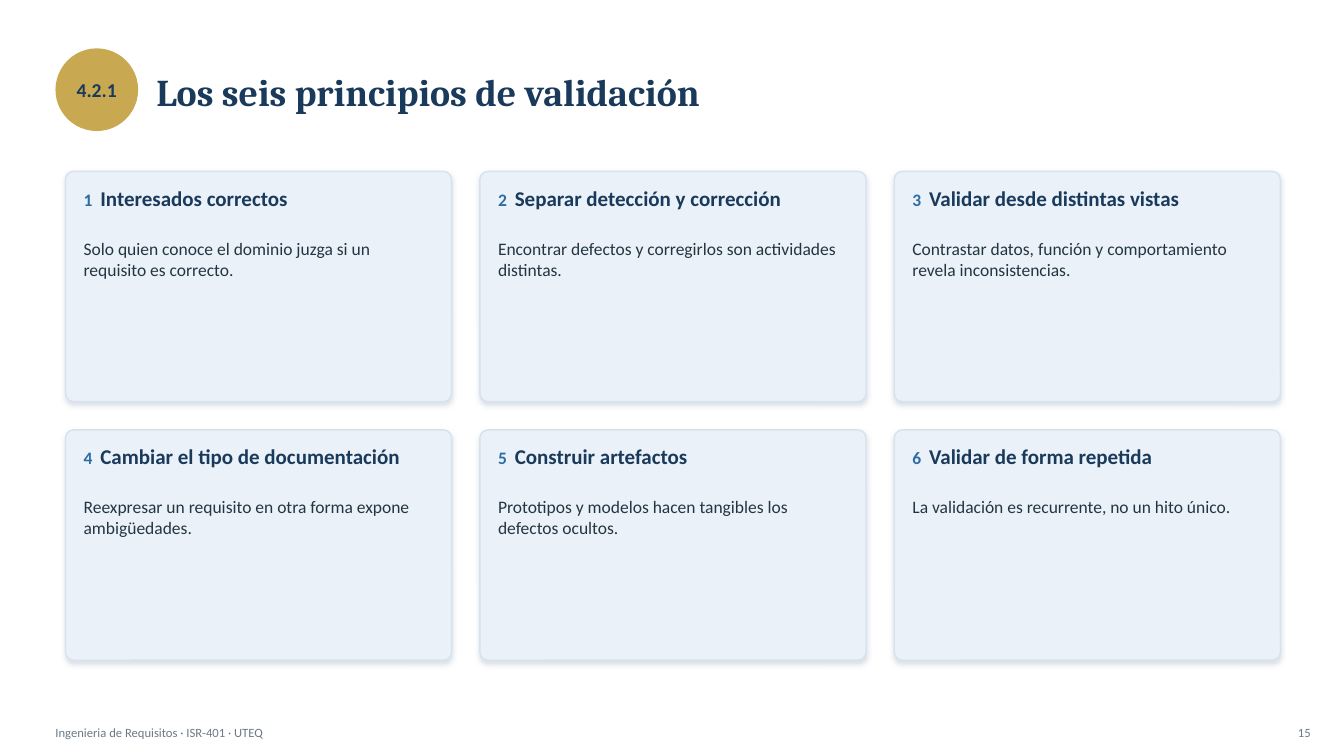
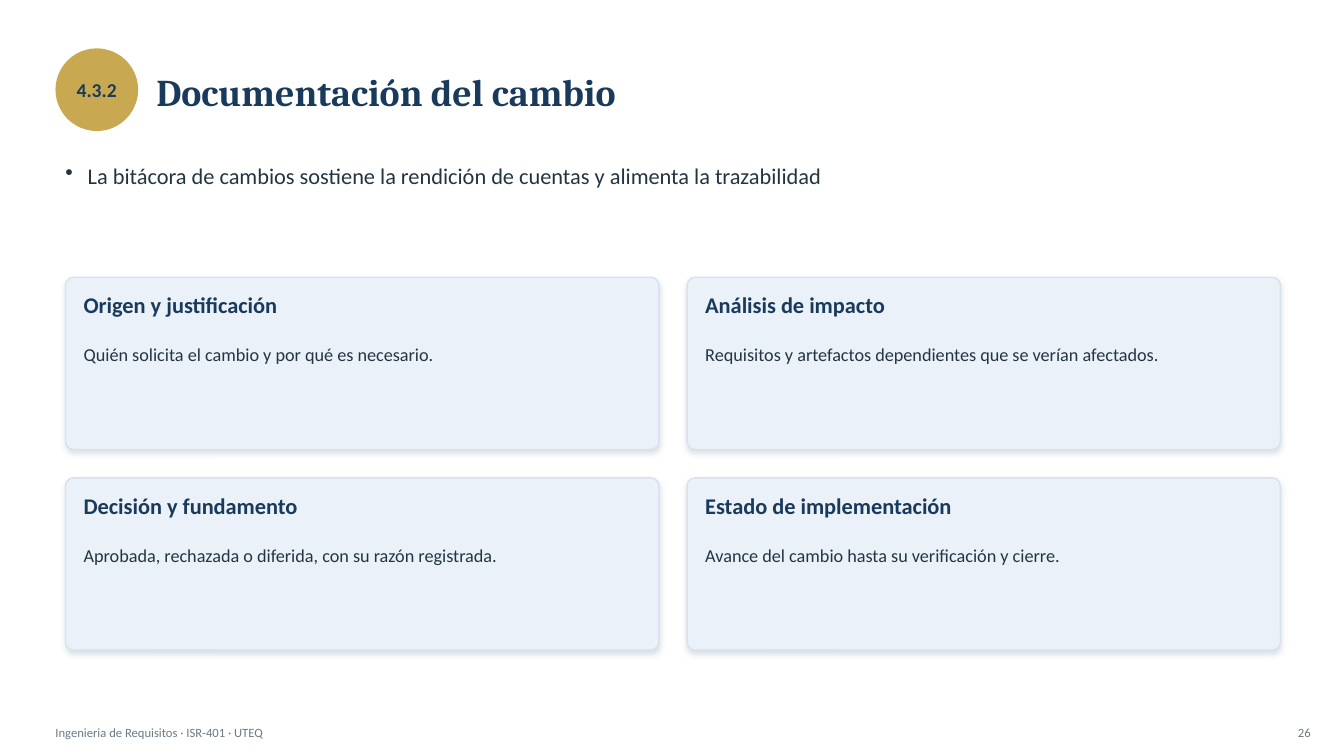
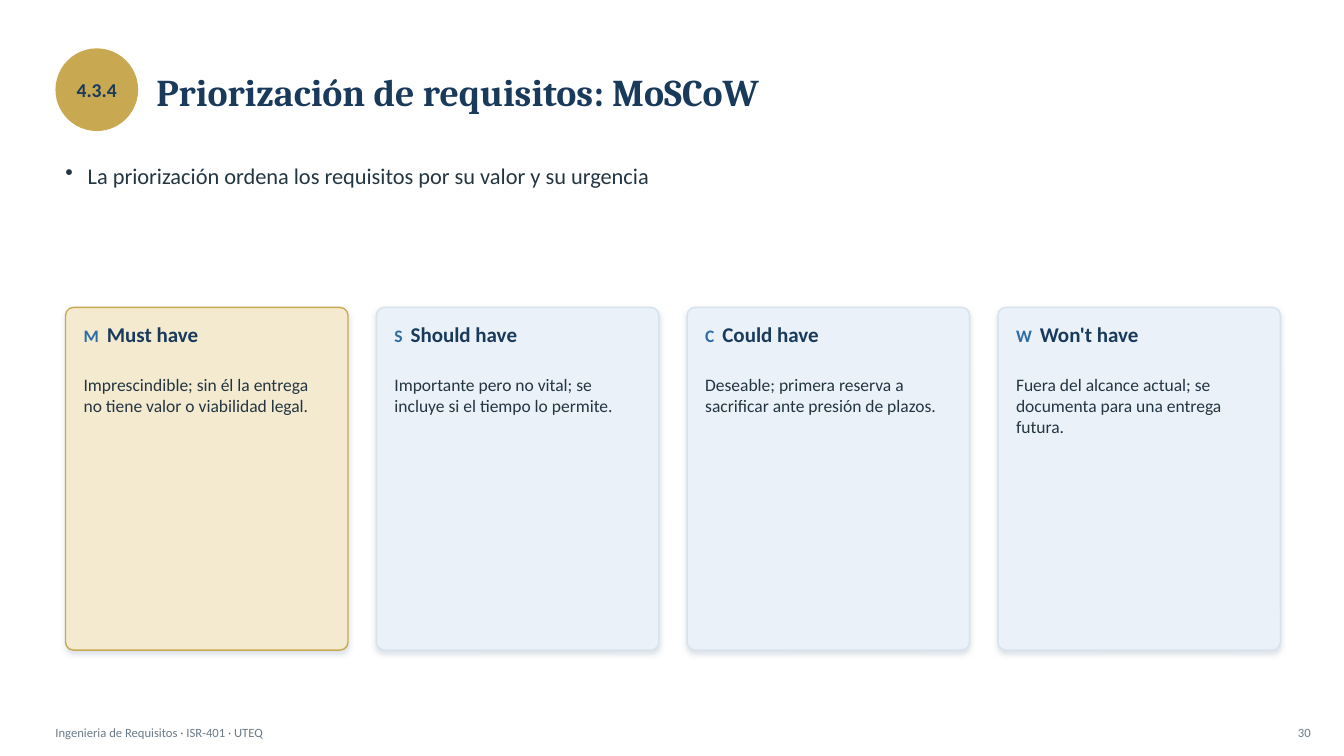
from dataclasses import dataclass
from typing import Iterator, Optional

from lxml import etree
from pptx import Presentation
from pptx.dml.color import RGBColor
from pptx.enum.shapes import MSO_SHAPE
from pptx.enum.text import MSO_ANCHOR, MSO_AUTO_SIZE, PP_ALIGN
from pptx.oxml.ns import qn
from pptx.util import Inches, Pt


# Theme and layout rules (lengths in inches, type sizes in points)
@dataclass(frozen=True)
class Theme:
    navy: str = "1A3A5C"
    gold: str = "C8A951"
    pale_gold: str = "F3EAD0"
    blue: str = "2E6DA4"
    pale_blue: str = "EAF1F8"
    border: str = "D8E2EC"
    shadow: str = "BFC9D4"
    ink: str = "243542"
    muted: str = "6B7A88"
    heading_font: str = "Cambria"
    body_font: str = "Calibri"
    title_size: float = 27
    badge_size: float = 14
    lead_size: float = 16
    footer_size: float = 9
    marker_size: float = 12.5


THEME = Theme()
SLIDE_WIDTH, SLIDE_HEIGHT = 13.33, 7.5
MARGIN = 0.55
GRID_LEFT, GRID_WIDTH, GAP = 0.65, 12.05, 0.28
CARD_PADDING, CARD_RADIUS = 0.18, 0.08
FOOTER = "Ingenieria de Requisitos · ISR-401 · UTEQ"


@dataclass(frozen=True)
class Box:
    left: float
    top: float
    width: float
    height: float

    def emu(self) -> tuple:
        return tuple(Inches(v) for v in (self.left, self.top, self.width, self.height))


@dataclass(frozen=True)
class Style:
    size: float
    color: str
    bold: bool = False
    font: str = THEME.body_font


@dataclass(frozen=True)
class Card:
    heading: str
    body: str
    marker: str = ""
    highlighted: bool = False


@dataclass(frozen=True)
class CardGrid:
    columns: int
    rows: int
    top: float
    bottom: float
    heading_size: float
    body_size: float

    def cells(self) -> Iterator[Box]:
        width = (GRID_WIDTH - GAP * (self.columns - 1)) / self.columns
        height = (self.bottom - self.top - GAP * (self.rows - 1)) / self.rows
        for row in range(self.rows):
            for column in range(self.columns):
                yield Box(GRID_LEFT + column * (width + GAP),
                          self.top + row * (height + GAP), width, height)


@dataclass(frozen=True)
class Page:
    section: str
    title: str
    number: int
    grid: CardGrid
    cards: tuple
    lead: Optional[str] = None


# Text helpers
def rgb(value: str) -> RGBColor:
    return RGBColor.from_string(value)


def add_run(paragraph, text: str, style: Style):
    run = paragraph.add_run()
    run.text = text
    run.font.name = style.font
    run.font.size = Pt(style.size)
    run.font.bold = style.bold
    run.font.color.rgb = rgb(style.color)
    return run


def prepare_frame(shape, anchor=MSO_ANCHOR.TOP, align=PP_ALIGN.LEFT):
    """Remove the insets of a shape's text and return its first paragraph."""
    frame = shape.text_frame
    frame.margin_left = frame.margin_top = frame.margin_right = frame.margin_bottom = 0
    frame.word_wrap = True
    frame.auto_size = MSO_AUTO_SIZE.NONE
    frame.vertical_anchor = anchor
    paragraph = frame.paragraphs[0]
    paragraph.alignment = align
    return paragraph


def add_text(slide, box: Box, text: str, style: Style,
             anchor=MSO_ANCHOR.TOP, align=PP_ALIGN.LEFT):
    paragraph = prepare_frame(slide.shapes.add_textbox(*box.emu()), anchor, align)
    if text:
        add_run(paragraph, text, style)
    return paragraph


# Shared slide parts
def add_header(slide, section: str, title: str) -> None:
    heading = slide.shapes.title
    heading.left, heading.top, heading.width, heading.height = Box(1.55, 0.48, 11.2, 0.85).emu()
    add_run(prepare_frame(heading, MSO_ANCHOR.MIDDLE), title,
            Style(THEME.title_size, THEME.navy, True, THEME.heading_font))

    badge = slide.shapes.add_shape(MSO_SHAPE.OVAL, *Box(MARGIN, 0.48, 0.82, 0.82).emu())
    badge.shadow.inherit = False
    badge.fill.solid()
    badge.fill.fore_color.rgb = rgb(THEME.gold)
    badge.line.fill.background()
    add_run(prepare_frame(badge, MSO_ANCHOR.MIDDLE, PP_ALIGN.CENTER), section,
            Style(THEME.badge_size, THEME.navy, True))


def add_footer(slide, number: int) -> None:
    style = Style(THEME.footer_size, THEME.muted)
    add_text(slide, Box(MARGIN, 7.12, 8, 0.3), FOOTER, style, MSO_ANCHOR.MIDDLE)
    add_text(slide, Box(12.5, 7.12, 0.5, 0.3), str(number), style,
             MSO_ANCHOR.MIDDLE, PP_ALIGN.RIGHT)


def add_lead(slide, text: str) -> None:
    paragraph = add_text(slide, Box(GRID_LEFT, 1.6, 12, 0.9), text,
                         Style(THEME.lead_size, THEME.ink))
    paragraph.line_spacing = 1.03
    paragraph.space_after = Pt(9)
    properties = paragraph._p.get_or_add_pPr()
    properties.set("marL", str(Inches(0.22)))
    properties.set("indent", str(-Inches(0.22)))
    etree.SubElement(properties, qn("a:buChar"), char="•")


# Cards
def add_soft_shadow(shape) -> None:
    shape.shadow.inherit = False
    effects = shape.element.spPr.find(qn("a:effectLst"))
    outer = etree.SubElement(effects, qn("a:outerShdw"), blurRad=str(Pt(4)),
                             dist=str(Pt(2)), dir="5400000", algn="t", rotWithShape="0")
    color = etree.SubElement(outer, qn("a:srgbClr"), val=THEME.shadow)
    etree.SubElement(color, qn("a:alpha"), val="55000")


def add_card(slide, box: Box, card: Card, grid: CardGrid) -> None:
    panel = slide.shapes.add_shape(MSO_SHAPE.ROUNDED_RECTANGLE, *box.emu())
    panel.adjustments[0] = CARD_RADIUS / min(box.width, box.height)
    panel.fill.solid()
    panel.fill.fore_color.rgb = rgb(THEME.pale_gold if card.highlighted else THEME.pale_blue)
    panel.line.color.rgb = rgb(THEME.gold if card.highlighted else THEME.border)
    panel.line.width = Pt(1)
    add_soft_shadow(panel)

    left, width = box.left + CARD_PADDING, box.width - 2 * CARD_PADDING
    heading = add_text(slide, Box(left, box.top + 0.14, width, 0.5), "",
                       Style(grid.heading_size, THEME.navy))
    if card.marker:
        marker_style = Style(THEME.marker_size, THEME.blue, True)
        add_run(heading, card.marker, marker_style)
        space = add_run(heading, " ", marker_style)
        space.font._element.set("spc", "280")  # widens the gap after the marker
    add_run(heading, card.heading, Style(grid.heading_size, THEME.navy, True))
    add_text(slide, Box(left, box.top + 0.66, width, box.height - 0.8), card.body,
             Style(grid.body_size, THEME.ink))


def add_page(deck, page: Page) -> None:
    slide = deck.slides.add_slide(deck.slide_layouts[5])
    add_header(slide, page.section, page.title)
    add_footer(slide, page.number)
    if page.lead:
        add_lead(slide, page.lead)
    for box, card in zip(page.grid.cells(), page.cards):
        add_card(slide, box, card, page.grid)


# Content
PAGES = (
    Page("4.2.1", "Los seis principios de validación", 15,
         CardGrid(3, 2, 1.7, 6.55, 15, 12.5), (
             Card("Interesados correctos",
                  "Solo quien conoce el dominio juzga si un requisito es correcto.", "1"),
             Card("Separar detección y corrección",
                  "Encontrar defectos y corregirlos son actividades distintas.", "2"),
             Card("Validar desde distintas vistas",
                  "Contrastar datos, función y comportamiento revela inconsistencias.", "3"),
             Card("Cambiar el tipo de documentación",
                  "Reexpresar un requisito en otra forma expone ambigüedades.", "4"),
             Card("Construir artefactos",
                  "Prototipos y modelos hacen tangibles los defectos ocultos.", "5"),
             Card("Validar de forma repetida",
                  "La validación es recurrente, no un hito único.", "6"),
         )),
    Page("4.3.2", "Documentación del cambio", 26,
         CardGrid(2, 2, 2.75, 6.45, 16, 13), (
             Card("Origen y justificación",
                  "Quién solicita el cambio y por qué es necesario."),
             Card("Análisis de impacto",
                  "Requisitos y artefactos dependientes que se verían afectados."),
             Card("Decisión y fundamento",
                  "Aprobada, rechazada o diferida, con su razón registrada."),
             Card("Estado de implementación",
                  "Avance del cambio hasta su verificación y cierre."),
         ),
         "La bitácora de cambios sostiene la rendición de cuentas y alimenta la trazabilidad"),
    Page("4.3.4", "Priorización de requisitos: MoSCoW", 30,
         CardGrid(4, 1, 3.05, 6.45, 15, 12.5), (
             Card("Must have",
                  "Imprescindible; sin él la entrega no tiene valor o viabilidad legal.",
                  "M", highlighted=True),
             Card("Should have",
                  "Importante pero no vital; se incluye si el tiempo lo permite.", "S"),
             Card("Could have",
                  "Deseable; primera reserva a sacrificar ante presión de plazos.", "C"),
             Card("Won't have",
                  "Fuera del alcance actual; se documenta para una entrega futura.", "W"),
         ),
         "La priorización ordena los requisitos por su valor y su urgencia"),
)


def main() -> None:
    deck = Presentation()
    deck.slide_width, deck.slide_height = Inches(SLIDE_WIDTH), Inches(SLIDE_HEIGHT)
    for page in PAGES:
        add_page(deck, page)
    deck.save("out.pptx")


main()
